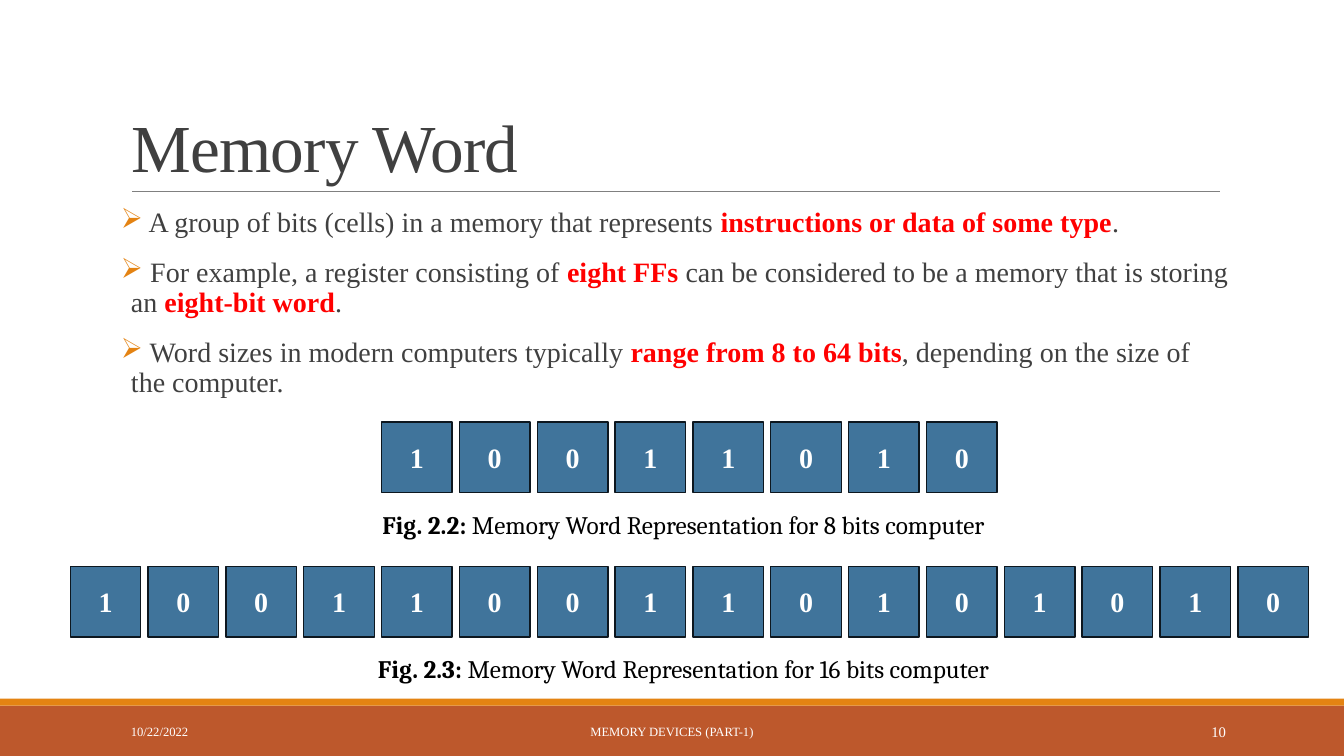
from lxml.etree import SubElement
from pptx import Presentation
from pptx.dml.color import RGBColor
from pptx.enum.shapes import MSO_CONNECTOR, MSO_SHAPE
from pptx.enum.text import MSO_ANCHOR, MSO_AUTO_SIZE, PP_ALIGN
from pptx.oxml.ns import qn
from pptx.util import Pt

SERIF = "Times New Roman"
TEXT, RED, WHITE, BLACK = "404040", "FF0000", "FFFFFF", "000000"
ORANGE, RUST, GREY = "E48312", "BD582C", "808080"
CELL_FILL, CELL_LINE = "40749B", "0D171F"
CELL_SIZE, CELL_PITCH = 50.4, 55.6

# Asterisks enclose the emphasised words.
POINTS = [
    " A group of bits (cells) in a memory that represents *instructions or data of some type*.",
    " For example, a register consisting of *eight FFs *can be considered to be a memory "
    "that is storing an *eight-bit word*.",
    " Word sizes in modern computers typically *range from 8 to 64 bits*, depending on "
    "the size of the computer.",
]


def color(value):
    return RGBColor.from_string(value)


def format_font(font, size, fill, bold=False, name=SERIF):
    font.name, font.size, font.bold = name, Pt(size), bold
    font.color.rgb = color(fill)


def add_rectangle(slide, left, top, width, height, fill):
    shape = slide.shapes.add_shape(
        MSO_SHAPE.RECTANGLE, Pt(left), Pt(top), Pt(width), Pt(height))
    shape.shadow.inherit = False
    shape.fill.solid()
    shape.fill.fore_color.rgb = color(fill)
    shape.line.fill.background()
    return shape


def add_text_frame(slide, left, top, width, height, anchor=MSO_ANCHOR.TOP):
    box = slide.shapes.add_textbox(Pt(left), Pt(top), Pt(width), Pt(height))
    frame = box.text_frame
    frame.word_wrap = True
    frame.vertical_anchor = anchor
    return frame


def add_title(slide, left, top, width, height):
    """Place the title and the rule beneath it."""
    title = slide.shapes.title
    title.left, title.top, title.width, title.height = map(Pt, (left, top, width, height))
    frame = title.text_frame
    frame.text = "Memory Word"
    frame.auto_size = MSO_AUTO_SIZE.NONE
    frame.vertical_anchor = MSO_ANCHOR.BOTTOM
    paragraph = frame.paragraphs[0]
    paragraph.alignment = PP_ALIGN.LEFT
    paragraph.line_spacing = 0.85
    run = paragraph.runs[0]
    format_font(run.font, 48, TEXT)
    run.font._element.set("spc", "-50")

    bottom = top + height
    rule = slide.shapes.add_connector(
        MSO_CONNECTOR.STRAIGHT, Pt(left + 8), Pt(bottom), Pt(left + width - 7), Pt(bottom))
    rule.line.color.rgb = color(GREY)
    rule.line.width = Pt(0.5)
    SubElement(rule._element.spPr, qn("a:effectLst"))


def add_arrow_bullet(paragraph):
    properties = paragraph._p.get_or_add_pPr()
    properties.set("marL", str(Pt(7.2)))
    properties.set("indent", str(-Pt(7.2)))
    bullet_color = SubElement(properties, qn("a:buClr"))
    SubElement(bullet_color, qn("a:srgbClr"), val=ORANGE)
    SubElement(properties, qn("a:buChar"), char="➢")


def add_points(slide, left, top, width, height):
    frame = add_text_frame(slide, left, top, width, height)
    frame.margin_left = frame.margin_right = 0
    for index, point in enumerate(POINTS):
        paragraph = frame.add_paragraph() if index else frame.paragraphs[0]
        paragraph.line_spacing = 0.9
        paragraph.space_before, paragraph.space_after = Pt(12), Pt(2)
        add_arrow_bullet(paragraph)
        for part_index, part in enumerate(point.split("*")):
            emphasised = part_index % 2 == 1
            run = paragraph.add_run()
            run.text = part
            format_font(run.font, 20, RED if emphasised else TEXT, emphasised)


def add_memory_word(slide, left, top, bits):
    for index, bit in enumerate(bits):
        cell = add_rectangle(
            slide, left + index * CELL_PITCH, top, CELL_SIZE, CELL_SIZE, CELL_FILL)
        cell.line.color.rgb = color(CELL_LINE)
        cell.line.width = Pt(1)
        frame = cell.text_frame
        frame.text = bit
        frame.vertical_anchor = MSO_ANCHOR.MIDDLE
        paragraph = frame.paragraphs[0]
        paragraph.alignment = PP_ALIGN.CENTER
        format_font(paragraph.runs[0].font, 20, WHITE, True)


def add_caption(slide, left, top, width, height, label, description):
    paragraph = add_text_frame(slide, left, top, width, height).paragraphs[0]
    paragraph.alignment = PP_ALIGN.CENTER
    for text, bold in ((label, True), (description, False)):
        run = paragraph.add_run()
        run.text = text
        format_font(run.font, 18, BLACK, bold, "Cambria")


def add_footer(slide, left, top, width, height):
    """Draw the two bands, then the date, the footer and the slide number."""
    add_rectangle(slide, left, top + 5, width, height - 5, RUST)
    add_rectangle(slide, left, top, width, 5, ORANGE)
    fields = [
        (86.4, 194.4, "10/22/2022", 9, PP_ALIGN.LEFT),
        (290.2, 379.4, "MEMORY DEVICES (PART-1)", 9, PP_ALIGN.CENTER),
        (779.8, 103, "10", 10.5, PP_ALIGN.RIGHT),
    ]
    for offset, field_width, text, size, alignment in fields:
        frame = add_text_frame(
            slide, left + offset, top + 9.3, field_width, 28.8, MSO_ANCHOR.MIDDLE)
        frame.text = text
        paragraph = frame.paragraphs[0]
        paragraph.alignment = alignment
        format_font(paragraph.runs[0].font, size, WHITE)


def main():
    presentation = Presentation()
    presentation.slide_width, presentation.slide_height = Pt(960), Pt(540)
    slide = presentation.slides.add_slide(presentation.slide_layouts[5])
    add_footer(slide, 0, 499, 960, 41)
    add_title(slide, 86.4, 22.3, 792, 114.5)
    add_points(slide, 86.4, 145.4, 792, 316.8)
    figures = [
        (272.6, 301.5, "10011010", "Fig. 2.2:", 8),
        (50.2, 404.6, "1001100110101010", "Fig. 2.3:", 16),
    ]
    for left, top, bits, label, size in figures:
        add_memory_word(slide, left, top, bits)
        add_caption(slide, 92.2, top + 58.8, 792, 28.8, label,
                    f" Memory Word Representation for {size} bits computer")
    presentation.save("out.pptx")


if __name__ == "__main__":
    main()
